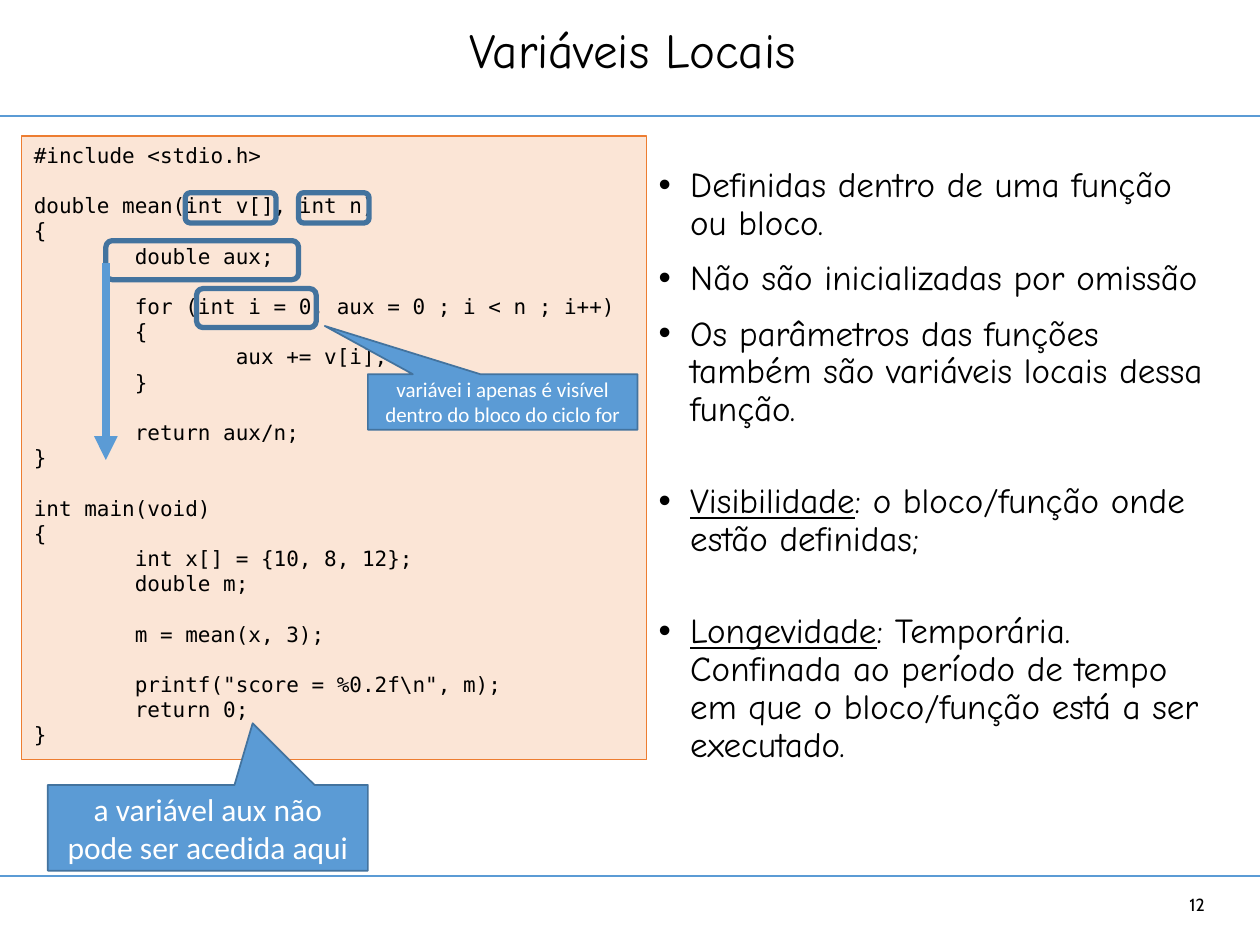
from lxml.etree import SubElement
from pptx import Presentation
from pptx.dml.color import RGBColor
from pptx.enum.shapes import MSO_CONNECTOR, MSO_SHAPE
from pptx.enum.text import MSO_ANCHOR, PP_ALIGN
from pptx.oxml.ns import qn
from pptx.util import Inches, Pt

BLACK = RGBColor(0x00, 0x00, 0x00)
WHITE = RGBColor(0xFF, 0xFF, 0xFF)
BLUE = RGBColor(0x5B, 0x9B, 0xD5)
DARK_BLUE = RGBColor(0x43, 0x73, 0x9E)
PEACH = RGBColor(0xFB, 0xE5, 0xD6)
ORANGE = RGBColor(0xED, 0x7D, 0x31)

HEADING_FONT = "Comic Neue"
CODE_FONT = "DejaVu Sans Mono"
CODE = r"""#include <stdio.h>

double mean(int v[], int n)
{
        double aux;

        for (int i = 0, aux = 0 ; i < n ; i++)
        {
                aux += v[i];
        }

        return aux/n;
}

int main(void)
{
        int x[] = {10, 8, 12};
        double m;

        m = mean(x, 3);

        printf("score = %0.2f\n", m);
        return 0;
}"""

BULLETS = [
    ("", "Definidas dentro de uma função ou bloco.", 0),
    ("", "Não são inicializadas por omissão", 10),
    ("", "Os parâmetros das funções também são variáveis locais dessa função.", 10),
    ("Visibilidade", ": o bloco/função onde estão definidas;", 31),
    ("Longevidade", ": Temporária. Confinada ao período de tempo em que o "
     "bloco/função está a ser executado.", 31),
]
HIGHLIGHTS = [
    (0.84, 1.91, 1.53, 0.31),
    (1.47, 1.53, 0.72, 0.24),
    (2.37, 1.53, 0.56, 0.24),
    (1.56, 2.29, 0.95, 0.31),
]


def format_runs(paragraph, font_name, size, color):
    """Apply one font, size and colour to every run of a paragraph."""
    for run in paragraph.runs:
        run.font.name = font_name
        run.font.size = Pt(size)
        run.font.color.rgb = color


def add_line(slide, start, end, width):
    """Add a straight blue connector without shadow."""
    points = [Inches(value) for value in (*start, *end)]
    line = slide.shapes.add_connector(MSO_CONNECTOR.STRAIGHT, *points)
    line.line.color.rgb = BLUE
    line.line.width = Pt(width)
    SubElement(line._element.spPr, qn("a:effectLst"))
    return line


def add_arrow(slide, start, end, width):
    """Add a connector that ends in a triangle."""
    arrow = add_line(slide, start, end, width)
    SubElement(arrow.line._get_or_add_ln(), qn("a:tailEnd"), type="triangle")


def add_box(slide, kind, box, fill, line_color, line_width):
    """Add a preset shape, unfilled when fill is None."""
    shape = slide.shapes.add_shape(kind, *map(Inches, box))
    shape.shadow.inherit = False
    if fill is None:
        shape.fill.background()
    else:
        shape.fill.solid()
        shape.fill.fore_color.rgb = fill
    shape.line.color.rgb = line_color
    shape.line.width = Pt(line_width)
    return shape


def add_title(slide, text):
    """Place and format the title placeholder."""
    title = slide.shapes.title
    title.left, title.top, title.width, title.height = map(Inches, (0.34, 0, 9.36, 0.84))
    title.text_frame.text = text
    title.text_frame.vertical_anchor = MSO_ANCHOR.MIDDLE
    paragraph = title.text_frame.paragraphs[0]
    paragraph.alignment = PP_ALIGN.CENTER
    paragraph.line_spacing = 0.9
    format_runs(paragraph, HEADING_FONT, 28, BLACK)


def add_code(slide, box, code):
    """Add the code panel with one paragraph per line."""
    panel = add_box(slide, MSO_SHAPE.RECTANGLE, box, PEACH, ORANGE, 0.75)
    frame = panel.text_frame
    frame.text = code
    frame.vertical_anchor = MSO_ANCHOR.TOP
    for paragraph in frame.paragraphs:
        paragraph.alignment = PP_ALIGN.LEFT
        format_runs(paragraph, CODE_FONT, 12, BLACK)
        if not paragraph.runs:
            end = SubElement(paragraph._p, qn("a:endParaRPr"), sz="1200")
            SubElement(end, qn("a:latin"), typeface=CODE_FONT)


def add_bullets(slide, box, bullets):
    """Add the bullet list with underlined lead terms."""
    frame = slide.shapes.add_textbox(*map(Inches, box)).text_frame
    frame.word_wrap = True
    for index, (term, text, space) in enumerate(bullets):
        paragraph = frame.add_paragraph() if index else frame.paragraphs[0]
        properties = paragraph._p.get_or_add_pPr()
        properties.set("marL", str(Inches(0.25)))
        properties.set("indent", str(Inches(-0.25)))
        SubElement(properties, qn("a:buFont"), typeface="Arial")
        SubElement(properties, qn("a:buChar"), char="•")
        paragraph.line_spacing = 0.9
        paragraph.space_before = Pt(space)
        if term:
            run = paragraph.add_run()
            run.text = term
            run.font.underline = True
        paragraph.add_run().text = text
        format_runs(paragraph, HEADING_FONT, 20, BLACK)


def add_callout(slide, box, pointer, text, size):
    """Add a blue callout whose tip is set by the pointer adjustments."""
    callout = add_box(slide, MSO_SHAPE.RECTANGULAR_CALLOUT, box, BLUE, DARK_BLUE, 1)
    callout.adjustments[0], callout.adjustments[1] = pointer
    callout.text_frame.text = text
    callout.text_frame.word_wrap = True
    callout.text_frame.vertical_anchor = MSO_ANCHOR.MIDDLE
    paragraph = callout.text_frame.paragraphs[0]
    paragraph.alignment = PP_ALIGN.CENTER
    format_runs(paragraph, "Calibri", size, WHITE)


def add_slide_number(slide, number):
    """Add the page number at the lower right."""
    frame = slide.shapes.add_textbox(*map(Inches, (8.86, 7.06, 0.8, 0.24))).text_frame
    frame.text = number
    frame.word_wrap = True
    frame.vertical_anchor = MSO_ANCHOR.MIDDLE
    frame.paragraphs[0].alignment = PP_ALIGN.RIGHT
    format_runs(frame.paragraphs[0], "Cabin", 10, BLACK)


def main():
    """Build the slide and save it."""
    presentation = Presentation()
    presentation.slide_width, presentation.slide_height = Inches(10), Inches(7.5)
    slide = presentation.slides.add_slide(presentation.slide_layouts[5])
    for top in (0.92, 6.95):
        add_line(slide, (0, top), (10, top), 1.25)
    add_title(slide, "Variáveis Locais")
    add_slide_number(slide, "12")
    add_code(slide, (0.17, 1.08, 4.96, 4.95), CODE)
    for box in HIGHLIGHTS:
        add_box(slide, MSO_SHAPE.ROUNDED_RECTANGLE, box, None, DARK_BLUE, 3)
    add_arrow(slide, (0.84, 2.09), (0.84, 3.65), 4.5)
    add_bullets(slide, (5.13, 1.28, 4.57, 5.45), BULLETS)
    add_callout(slide, (0.38, 6.23, 2.54, 0.68), (0.14, -1.22),
                "a variável aux não pode ser acedida aqui", 18)
    add_callout(slide, (2.92, 2.97, 2.14, 0.44), (-0.66, -1.37),
                "variávei i apenas é visível dentro do bloco do ciclo for", 12)
    presentation.save("out.pptx")


if __name__ == "__main__":
    main()
